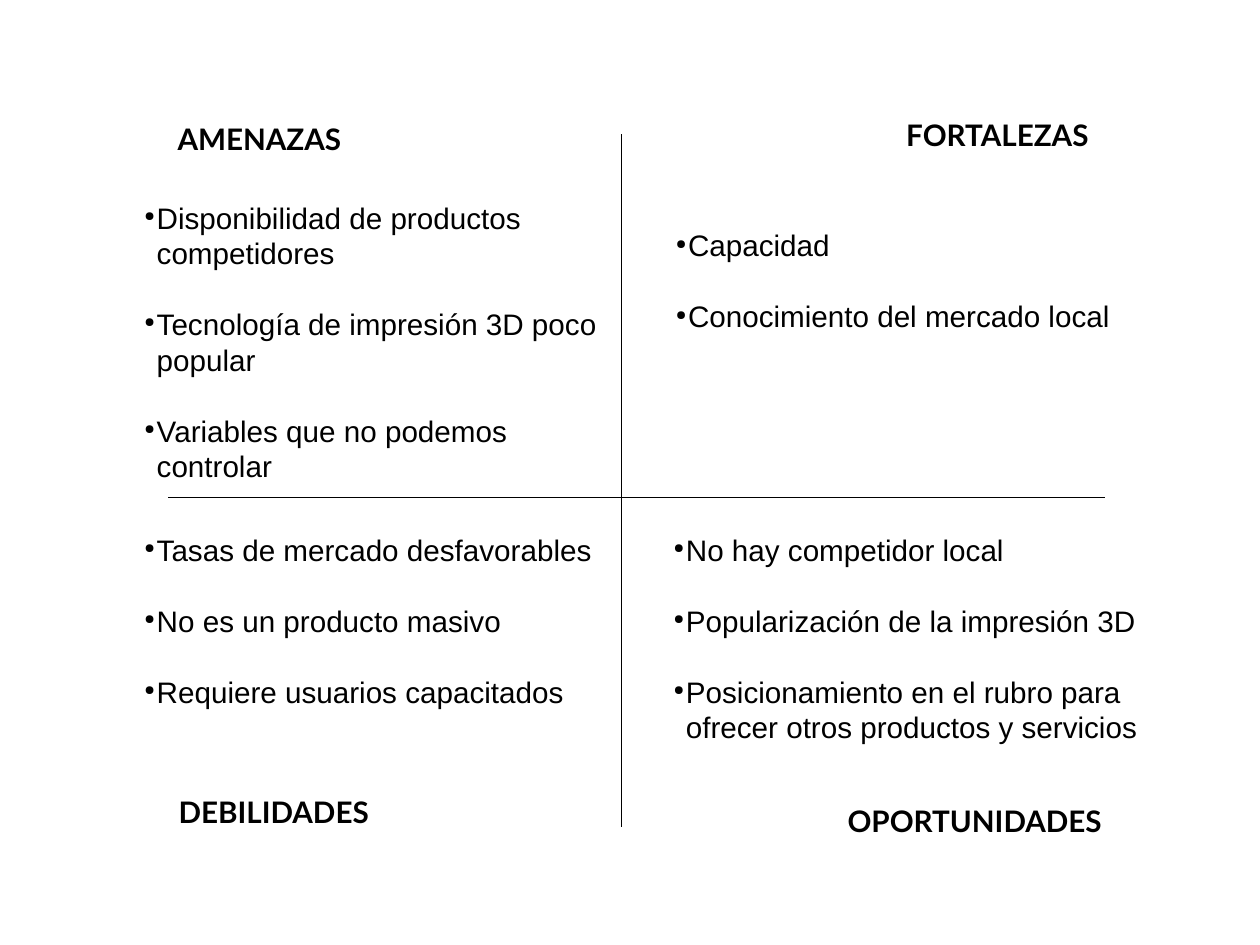
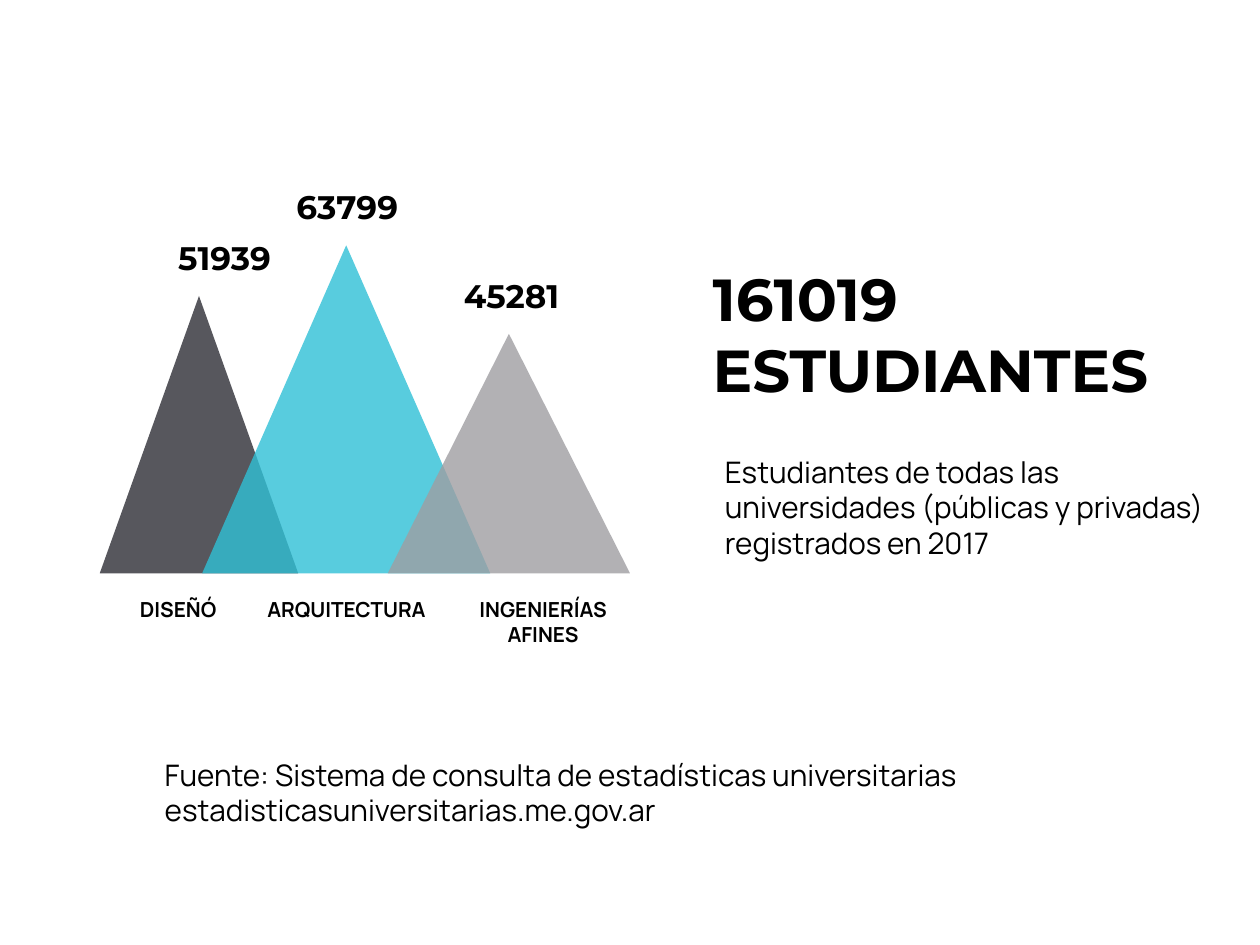
from dataclasses import dataclass

import lxml.etree
import pptx
import pptx.dml.color
import pptx.enum.shapes
import pptx.enum.text
import pptx.oxml.ns
import pptx.util

EMU_PER_PX = 9144
PX_PER_POINT = 100 / 72
SLIDE_SIZE = (2362, 1772)
LINE_HEIGHT = 1.2
BASE_DESCENT = 0.21
DESCENTS = {"Arial": 0.21, "Lato": 0.21, "Manrope": 0.3, "Montserrat": 0.25}
COLORS = {
    "ink": "000000",
    "design": "2E2E35",
    "architecture": "2FC0D6",
    "engineering": "9F9EA2",
}
PEAK_BASE = 1075
PEAK_OPACITY = 80
COUNT_GAP = 117
CATEGORY_TOP = 1111

Box = tuple[int, int, int, int]


@dataclass(frozen=True)
class Quadrant:
    title: str
    title_box: Box
    points: list[str]
    points_box: Box


@dataclass(frozen=True)
class Peak:
    color: str
    left: int
    width: int
    height: int
    count: str
    count_left: int
    category: list[str]
    category_left: int
    category_width: int


QUADRANTS = [
    Quadrant(
        "AMENAZAS", (323, 222, 368, 74),
        ["Disponibilidad de productos competidores",
         "Tecnología de impresión 3D poco popular",
         "Variables que no podemos controlar"],
        (260, 369, 874, 536),
    ),
    Quadrant(
        "FORTALEZAS", (1689, 215, 417, 74),
        ["Capacidad", "Conocimiento del mercado local"],
        (1256, 421, 874, 303),
    ),
    Quadrant(
        "DEBILIDADES", (325, 1484, 435, 74),
        ["Tasas de mercado desfavorables",
         "No es un producto masivo",
         "Requiere usuarios capacitados"],
        (260, 992, 874, 464),
    ),
    Quadrant(
        "OPORTUNIDADES", (1579, 1500, 557, 74),
        ["No hay competidor local",
         "Popularización de la impresión 3D",
         "Posicionamiento en el rubro para ofrecer otros productos y servicios"],
        (1252, 992, 920, 464),
    ),
]

PEAKS = [
    Peak("design", 187, 372, 520, "51939", 305, ["DISEÑÓ"], 241, 186),
    Peak("architecture", 379, 540, 615, "63799", 535, ["ARQUITECTURA"], 471, 357),
    Peak("engineering", 727, 454, 449, "45281", 843,
         ["INGENIERÍAS", "AFINES"], 868, 300),
]


def px(length: float) -> pptx.util.Emu:
    return pptx.util.Emu(round(length * EMU_PER_PX))


def rgb(name: str) -> pptx.dml.color.RGBColor:
    return pptx.dml.color.RGBColor.from_string(COLORS[name])


def add_bullet(paragraph) -> None:
    properties = paragraph._p.get_or_add_pPr()
    properties.set("marL", str(px(24)))
    properties.set("indent", str(px(-23)))
    qn = pptx.oxml.ns.qn
    bullet_color = lxml.etree.SubElement(properties, qn("a:buClr"))
    lxml.etree.SubElement(bullet_color, qn("a:srgbClr"), val=COLORS["ink"])
    lxml.etree.SubElement(properties, qn("a:buSzPct"), val="45000")
    lxml.etree.SubElement(properties, qn("a:buChar"), char="●")


def add_text(slide, box: Box, lines: list[str], *, font: str, size: int,
             bold: bool = False, centered: bool = False, wrap: bool = True,
             bulleted: bool = False) -> None:
    frame = slide.shapes.add_textbox(*map(px, box)).text_frame
    frame.word_wrap = wrap
    frame.margin_left = frame.margin_right = px(10)
    frame.margin_bottom = px(5)
    baseline_shift = (DESCENTS[font] - BASE_DESCENT) * size * PX_PER_POINT
    frame.margin_top = px(5 + baseline_shift)
    line_height = pptx.util.Pt(size * LINE_HEIGHT)
    for index, line in enumerate(lines):
        paragraph = frame.add_paragraph() if index else frame.paragraphs[0]
        if bulleted:
            add_bullet(paragraph)
            if index:
                paragraph.space_before = line_height
        paragraph.line_spacing = line_height
        if centered:
            paragraph.alignment = pptx.enum.text.PP_ALIGN.CENTER
        run = paragraph.add_run()
        run.text = line
        run.font.name = font
        run.font.size = pptx.util.Pt(size)
        run.font.bold = bold
        run.font.color.rgb = rgb("ink")


def add_axis(slide, start: tuple[int, int], end: tuple[int, int]) -> None:
    axis = slide.shapes.add_connector(
        pptx.enum.shapes.MSO_CONNECTOR.STRAIGHT, *map(px, start + end))
    axis.line.color.rgb = rgb("ink")
    axis.line.width = pptx.util.Pt(0.75)
    lxml.etree.SubElement(axis._element.spPr, pptx.oxml.ns.qn("a:effectLst"))


def add_peak(slide, peak: Peak) -> None:
    top = PEAK_BASE - peak.height
    triangle = slide.shapes.add_shape(
        pptx.enum.shapes.MSO_SHAPE.ISOSCELES_TRIANGLE,
        *map(px, (peak.left, top, peak.width, peak.height)))
    triangle.shadow.inherit = False
    triangle.line.fill.background()
    triangle.fill.solid()
    triangle.fill.fore_color.rgb = rgb(peak.color)
    qn = pptx.oxml.ns.qn
    fill_color = triangle._element.spPr.find(qn("a:solidFill")).find(qn("a:srgbClr"))
    lxml.etree.SubElement(fill_color, qn("a:alpha"), val=str(PEAK_OPACITY * 1000))
    add_text(slide, (peak.count_left, top - COUNT_GAP, 232, 83), [peak.count],
             font="Montserrat", size=44, bold=True, centered=True, wrap=False)
    category_height = 9 + 47 * len(peak.category)
    add_text(slide,
             (peak.category_left, CATEGORY_TOP, peak.category_width, category_height),
             peak.category, font="Manrope", size=28, bold=True, centered=True,
             wrap=False)


def build_swot(slide) -> None:
    add_axis(slide, (1165, 252), (1165, 1551))
    add_axis(slide, (315, 933), (2071, 933))
    for quadrant in QUADRANTS:
        add_text(slide, quadrant.title_box, [quadrant.title],
                 font="Lato", size=40, bold=True)
        add_text(slide, quadrant.points_box, quadrant.points,
                 font="Arial", size=40, bulleted=True)


def build_students(slide) -> None:
    for peak in PEAKS:
        add_peak(slide, peak)
    add_text(slide, (1326, 483, 1036, 143), ["161019", "ESTUDIANTES"],
             font="Montserrat", size=80, bold=True)
    add_text(slide, (1349, 841, 942, 296),
             ["Estudiantes de todas las universidades (públicas y privadas) "
              "registrados en 2017"],
             font="Manrope", size=40)
    add_text(slide, (299, 1409, 1637, 139),
             ["Fuente: Sistema de consulta de estadísticas universitarias",
              "estadisticasuniversitarias.me.gov.ar"],
             font="Manrope", size=40)


def main() -> None:
    presentation = pptx.Presentation()
    presentation.slide_width, presentation.slide_height = map(px, SLIDE_SIZE)
    blank = presentation.slide_layouts[6]
    for build in (build_swot, build_students):
        build(presentation.slides.add_slide(blank))
    presentation.save("out.pptx")


if __name__ == "__main__":
    main()
